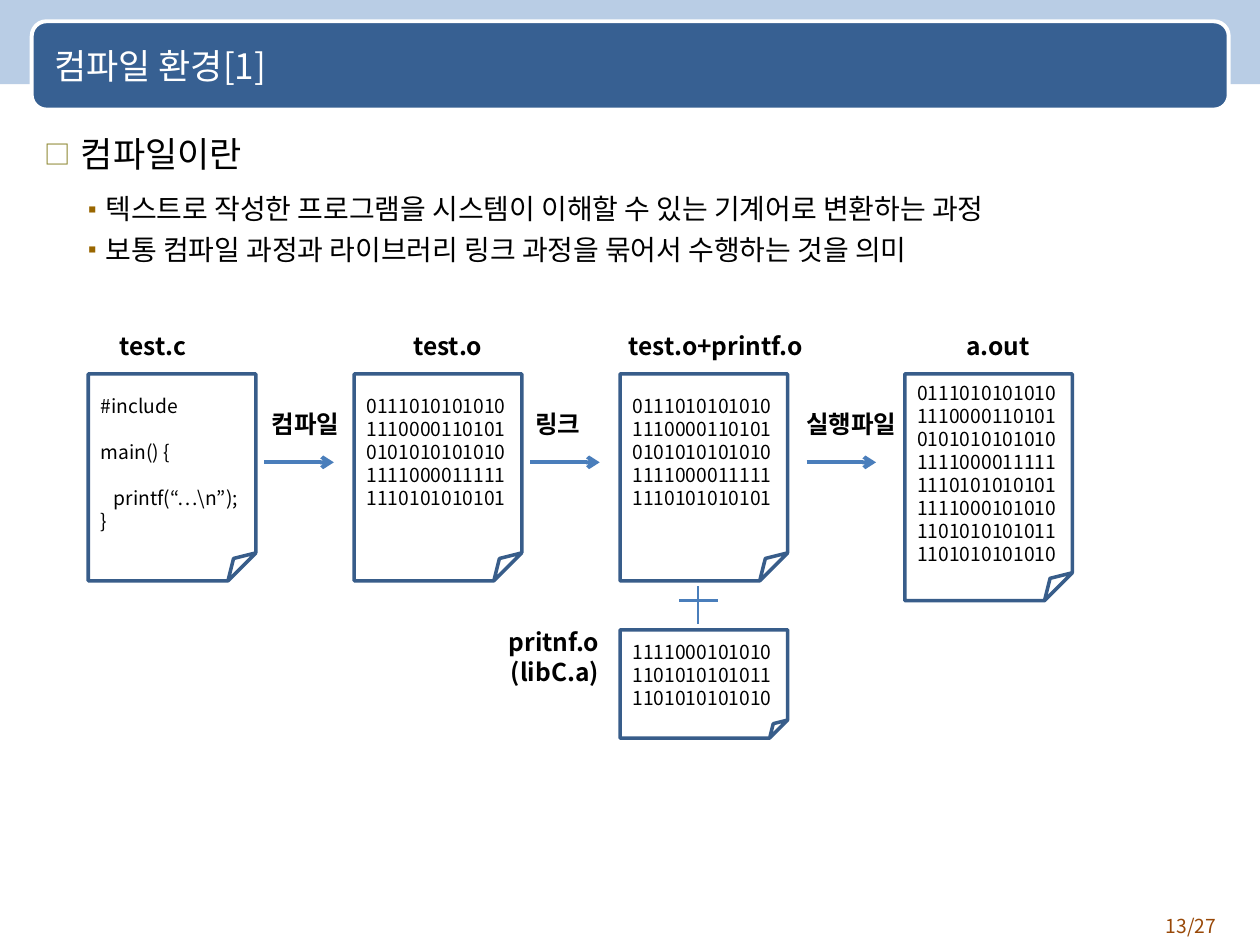
import pptx
import pptx.dml.color
import pptx.enum.shapes
import pptx.enum.text
import pptx.oxml
import pptx.oxml.ns
import pptx.util
from pptx.util import Cm

FONT = "Noto Sans CJK KR"
ANCHOR = pptx.enum.text.MSO_ANCHOR
ALIGN = pptx.enum.text.PP_ALIGN
SHAPES = pptx.enum.shapes.MSO_SHAPE
STRAIGHT = pptx.enum.shapes.MSO_CONNECTOR.STRAIGHT
DRAWING = pptx.oxml.ns.nsdecls("a")


def color(value):
    return pptx.dml.color.RGBColor.from_string(value)


def write(shape, lines, size, frame_format, paragraph_format, bold=False, ink="000000"):
    frame = shape.text_frame
    for name, value in frame_format.items():
        setattr(frame, name, value)
    for index, line in enumerate(lines):
        paragraph = frame.paragraphs[0] if index == 0 else frame.add_paragraph()
        for name, value in paragraph_format.items():
            setattr(paragraph, name, value)
        run = paragraph.add_run()
        run.text = line
        font_format = {"name": FONT, "size": pptx.util.Pt(size), "bold": bold}
        for name, value in font_format.items():
            setattr(run.font, name, value)
        run.font.color.rgb = color(ink)
        run.font._element.append(
            pptx.oxml.parse_xml(f'<a:ea {DRAWING} typeface="{FONT}"/>'))


presentation = pptx.Presentation()
presentation.slide_width = Cm(25.4)
presentation.slide_height = Cm(19.05)
slide = presentation.slides.add_slide(presentation.slide_layouts[6])
shapes = slide.shapes

band = shapes.add_shape(SHAPES.RECTANGLE, Cm(0), Cm(0), Cm(25.4), Cm(1.7))
band.shadow.inherit = False
band.fill.solid()
band.fill.fore_color.rgb = color("B9CDE5")
band.line.fill.background()

header = shapes.add_shape(SHAPES.ROUNDED_RECTANGLE, Cm(0.64), Cm(0.43), Cm(24.13), Cm(1.78))
header.shadow.inherit = False
header.fill.solid()
header.fill.fore_color.rgb = color("376092")
header.line.color.rgb = color("FFFFFF")
header.line.width = pptx.util.Pt(2.25)

wrapped = {"word_wrap": True}
left = {"alignment": ALIGN.LEFT}
right = {"alignment": ALIGN.RIGHT}

page = shapes.add_textbox(Cm(22.66), Cm(18.31), Cm(2.11), Cm(0.74))
write(page, ["13/27"], 11, wrapped, right, ink="984807")

title = shapes.add_textbox(Cm(0.84), Cm(0.48), Cm(23.5), Cm(1.7))
write(title, ["컴파일 환경[1]"], 20,
      {"word_wrap": True, "vertical_anchor": ANCHOR.MIDDLE}, left, ink="FFFFFF")

body = shapes.add_textbox(Cm(0.64), Cm(2.54), Cm(24.13), Cm(15.88))
write(body, [
    "컴파일이란",
    "텍스트로 작성한 프로그램을 시스템이 이해할 수 있는 기계어로 변환하는 과정",
    "보통 컴파일 과정과 라이브러리 링크 과정을 묶어서 수행하는 것을 의미",
], 16, wrapped, {"space_before": pptx.util.Pt(4)})
heading, *details = body.text_frame.paragraphs
heading.space_before = pptx.util.Pt(0)
heading.space_after = pptx.util.Pt(6)
heading.runs[0].font.size = pptx.util.Pt(20)
bullets = [(heading, "□", "888128", 75, 0.74, 0.74)]
bullets += [(detail, "▪", "996600", 80, 1.24, 0.48) for detail in details]
for paragraph, mark, ink, percent, margin, hanging in bullets:
    properties = paragraph._p.get_or_add_pPr()
    properties.set("marL", str(Cm(margin)))
    properties.set("indent", str(-Cm(hanging)))
    for element in (
        f'<a:buClr {DRAWING}><a:srgbClr val="{ink}"/></a:buClr>',
        f'<a:buSzPct {DRAWING} val="{percent * 1000}"/>',
        f'<a:buFont {DRAWING} typeface="{FONT}"/>',
        f'<a:buChar {DRAWING} char="{mark}"/>',
    ):
        properties.append(pptx.oxml.parse_xml(element))

source = ["#include", "main() {", "   printf(“…\\n”);", "}"]
compiled = ["0111010101010", "11100001101010101010101010", "1111000011111", "1110101010101"]
library = ["111100010101011010101010111101010101010"]
documents = [
    (1.78, 7.54, 4.17, source, 0.13),
    (7.14, 7.54, 4.17, compiled, 0.59),
    (12.5, 7.54, 4.17, compiled, 0.59),
    (12.5, 12.7, 2.18, library, 0.13),
    (18.24, 7.54, 4.57, compiled + library, 0.13),
]
for x, y, height, lines, bottom in documents:
    document = shapes.add_shape(SHAPES.FOLDED_CORNER, Cm(x), Cm(y), Cm(3.38), Cm(height))
    document.shadow.inherit = False
    document.fill.background()
    document.line.color.rgb = color("385D8A")
    document.line.width = pptx.util.Pt(2)
    write(document, lines, 11, {
        "word_wrap": True, "vertical_anchor": ANCHOR.MIDDLE, "margin_bottom": Cm(bottom),
    }, left)
    if lines is source:
        for paragraph in document.text_frame.paragraphs[1:3]:
            paragraph.space_before = pptx.util.Pt(13)

labels = [
    (2.16, 6.55, 2, ["test.c"], left),
    (8.08, 6.55, 2, ["test.o"], left),
    (12.42, 6.55, 4.2, ["test.o+printf.o"], left),
    (19.23, 6.55, 2, ["a.out"], left),
    (5.23, 8.13, 2, ["컴파일"], left),
    (10.54, 8.13, 1.6, ["링크"], left),
    (16, 8.13, 2.5, ["실행파일"], left),
    (9.83, 12.52, 2.5, ["pritnf.o", "(libC.a)"], right),
]
for x, y, width, lines, alignment in labels:
    label = shapes.add_textbox(Cm(x), Cm(y), Cm(width), Cm(0.86 if len(lines) == 1 else 1.45))
    write(label, lines, 14, {
        "word_wrap": True, "auto_size": pptx.enum.text.MSO_AUTO_SIZE.NONE,
    }, alignment, bold=True)

connectors = [(x, 9.32, x + 1.4, 9.32, 2.25) for x in (5.33, 10.69, 16.26)]
connectors += [(13.69, 12.1, 14.48, 12.1, 1.5), (14.07, 12.57, 14.07, 11.81, 1.5)]
for x1, y1, x2, y2, width in connectors:
    connector = shapes.add_connector(STRAIGHT, Cm(x1), Cm(y1), Cm(x2), Cm(y2))
    connector.line.color.rgb = color("4A7EBB")
    connector.line.width = pptx.util.Pt(width)
    if width > 2:
        connector.line._get_or_add_ln().append(
            pptx.oxml.parse_xml(f'<a:tailEnd {DRAWING} type="arrow"/>'))
    connector._element.spPr.append(pptx.oxml.parse_xml(f'<a:effectLst {DRAWING}/>'))

presentation.save("out.pptx")
